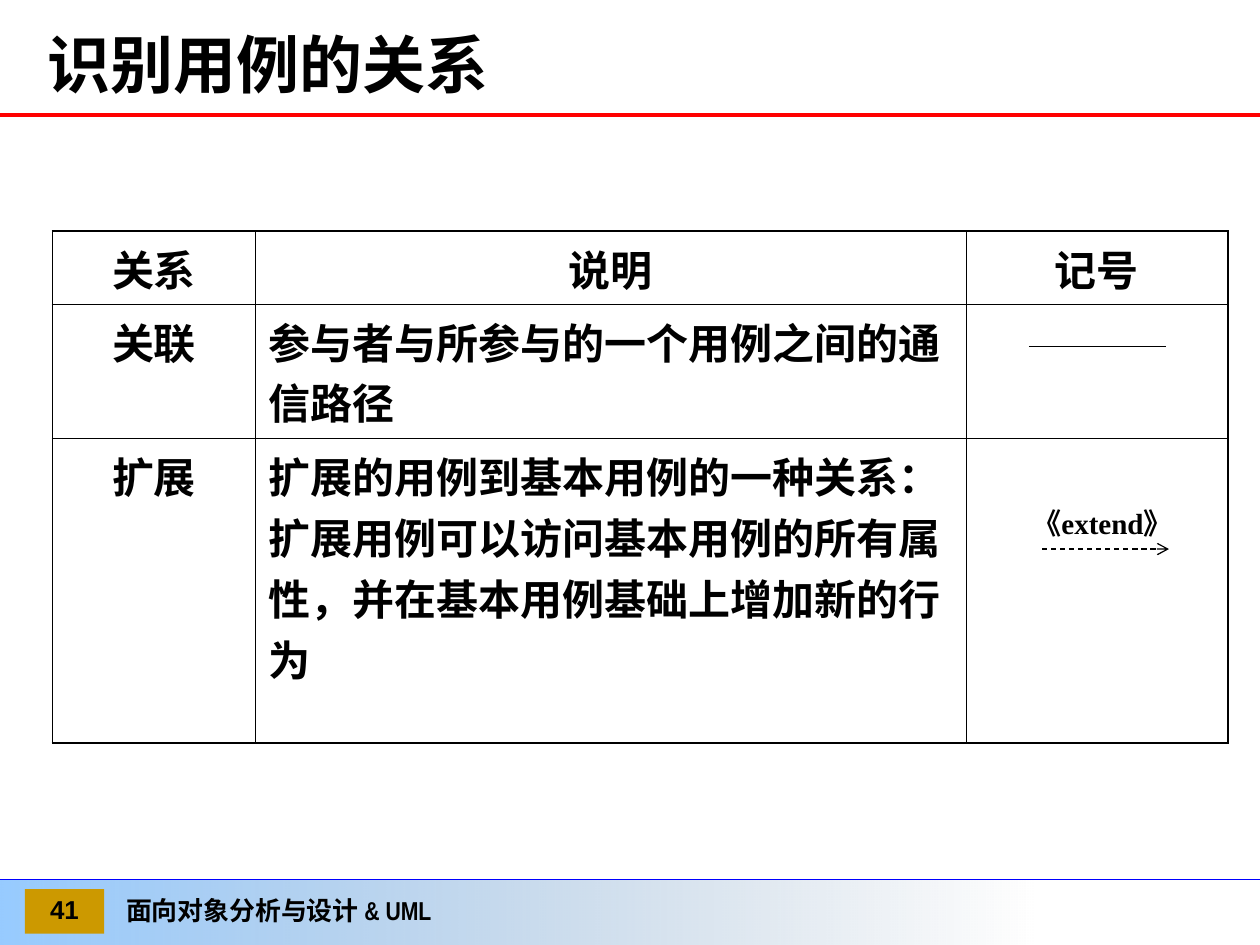
from lxml.etree import SubElement
from pptx import Presentation
from pptx.dml.color import RGBColor
from pptx.enum.dml import MSO_LINE_DASH_STYLE as Dash
from pptx.enum.shapes import MSO_CONNECTOR as Connector, MSO_SHAPE as Preset
from pptx.enum.text import MSO_ANCHOR as Anchor, PP_ALIGN as Align
from pptx.oxml.ns import qn
from pptx.util import Pt

BLACK = RGBColor(0, 0, 0)
RED = RGBColor(0xFF, 0, 0)
BLUE = RGBColor(0, 0, 0xFF)
GOLD = RGBColor(0xCC, 0x99, 0)
SKY = RGBColor(0x33, 0x99, 0xFF)
NAVY = RGBColor(0x18, 0x47, 0x76)

CJK_FONT = "Noto Sans CJK SC"
TITLE_FONT = dict(name="Arial Narrow", size=Pt(36), bold=True)
FOOTER_FONT = dict(name="Arial Narrow", size=Pt(14.8), bold=True)
NUMBER_FONT = dict(name="Arial", size=Pt(14.8), bold=True)
CELL_FONT = dict(name=CJK_FONT, size=Pt(24), bold=True)
LABEL_FONT = dict(name="Times New Roman", size=Pt(16.6), bold=True)

COLUMN_WIDTHS = [116, 406, 149.75]
ROW_HEIGHTS = [41.75, 77, 174]
OUTER, INNER = 1.08, 0.45
ROWS = [
    ["关系", "说明", "记号"],
    ["关联", "参与者与所参与的一个用例之间的通信路径", ""],
    ["扩展", "扩展的用例到基本用例的一种关系：扩展用例可以访问基本用例的所有属性，"
             "并在基本用例基础上增加新的行为", ""],
]


def write(frame, text, font, align=Align.LEFT, spacing=1.0):
    frame.word_wrap = True
    para = frame.paragraphs[0]
    para.alignment, para.line_spacing, para.space_before = align, spacing, Pt(0)
    span = para.add_run()
    span.text = text
    for key, value in font.items():
        setattr(span.font, key, value)
    span.font.color.rgb = BLACK
    SubElement(span.font._element, qn("a:ea"), typeface=CJK_FONT)


def add_rule(shapes, left, right, y, color=BLACK, width=0.75):
    rule = shapes.add_connector(
        Connector.STRAIGHT, Pt(left), Pt(y), Pt(right), Pt(y))
    rule.line.color.rgb = color
    rule.line.width = Pt(width)
    SubElement(rule.element.spPr, qn("a:effectLst"))
    return rule


def add_text(shapes, box, text, font, align=Align.LEFT):
    frame = shapes.add_textbox(*map(Pt, box)).text_frame
    frame.vertical_anchor = Anchor.MIDDLE
    write(frame, text, font, align, 0.9)


def add_rectangle(page, box):
    shape = page.shapes.add_shape(Preset.RECTANGLE, *map(Pt, box))
    shape.shadow.inherit = False
    shape.line.fill.background()
    return shape


def add_title(page, box, text):
    left, top, width, height = box
    title = page.shapes.title
    title.left, title.top, title.width, title.height = map(Pt, box)
    title.text_frame.vertical_anchor = Anchor.MIDDLE
    write(title.text_frame, text, TITLE_FONT)
    add_rule(page.shapes, 0, 720, top + height + 5, RED, 2.25)


def add_footer(page, box, number, text):
    left, top, width, height = box
    band = add_rectangle(page, (left, top, 592.5, height))
    band.fill.gradient()
    band.fill.gradient_angle = 0
    looks = [(0, SKY, 51000), (1, NAVY, 0)]
    for stop, (position, color, _) in zip(band.fill.gradient_stops, looks):
        stop.position, stop.color.rgb = position, color
    for node, (_, _, alpha) in zip(band.element.iter(qn("a:srgbClr")), looks):
        SubElement(node, qn("a:alpha"), val=str(alpha))
    add_rule(page.shapes, left, left + width, top, BLUE)

    add_text(page.shapes, (left + 65, top + 5.5, 505, 26), text, FOOTER_FONT)
    badge = add_rectangle(page, (left + 14.25, top + 5.5, 45.25, 25.5))
    badge.fill.solid()
    badge.fill.fore_color.rgb = GOLD
    badge.text_frame.vertical_anchor = Anchor.MIDDLE
    write(badge.text_frame, number, NUMBER_FONT, Align.CENTER, 0.9)


def add_borders(cell, widths):
    """Draw the left, right, top and bottom edges in the given widths."""
    properties = cell._tc.get_or_add_tcPr()
    for index, (side, width) in enumerate(zip("LRTB", widths)):
        edge = properties.makeelement(qn(f"a:ln{side}"), w=str(int(Pt(width))))
        fill = SubElement(edge, qn("a:solidFill"))
        SubElement(fill, qn("a:srgbClr"), val=str(BLACK))
        properties.insert(index, edge)


def add_relation_table(page, box):
    table = page.shapes.add_table(
        len(ROWS), len(COLUMN_WIDTHS), *map(Pt, box)).table
    table.first_row = table.horz_banding = False
    for column, width in zip(table.columns, COLUMN_WIDTHS):
        column.width = Pt(width)
    for row, height in zip(table.rows, ROW_HEIGHTS):
        row.height = Pt(height)

    last_row, last_column = len(ROWS) - 1, len(COLUMN_WIDTHS) - 1
    for r, texts in enumerate(ROWS):
        for c, text in enumerate(texts):
            cell = table.cell(r, c)
            cell.fill.background()
            on_outside = (c == 0, c == last_column, r == 0, r == last_row)
            add_borders(cell, [OUTER if out else INNER for out in on_outside])
            if text:
                centred = r == 0 or c == 0
                write(cell.text_frame, text, CELL_FONT,
                      Align.CENTER if centred else Align.LEFT)


def add_extend_notation(page, box):
    left, top, width, height = box
    group = page.shapes.add_group_shape()
    arrow = add_rule(group.shapes, left + 19.5, left + 92, top + 31.75)
    arrow.line.dash_style = Dash.DASH
    SubElement(arrow.line._ln, qn("a:tailEnd"), type="arrow")
    # The schema wants the effect list after the line, which is already so.
    add_text(group.shapes, box, "《extend》", LABEL_FONT, Align.CENTER)


def main():
    deck = Presentation()
    deck.slide_width, deck.slide_height = Pt(720), Pt(540)
    page = deck.slides.add_slide(deck.slide_layouts[5])
    add_footer(page, (0, 502.6, 720, 37.4), "41", "面向对象分析与设计 & UML")
    add_title(page, (20, 11.25, 680, 49.5), "识别用例的关系")
    add_relation_table(page, (30, 132, sum(COLUMN_WIDTHS), sum(ROW_HEIGHTS)))
    add_extend_notation(page, (576, 282, 108, 36))
    add_rule(page.shapes, 588, 666, 198)
    deck.save("out.pptx")


if __name__ == "__main__":
    main()
